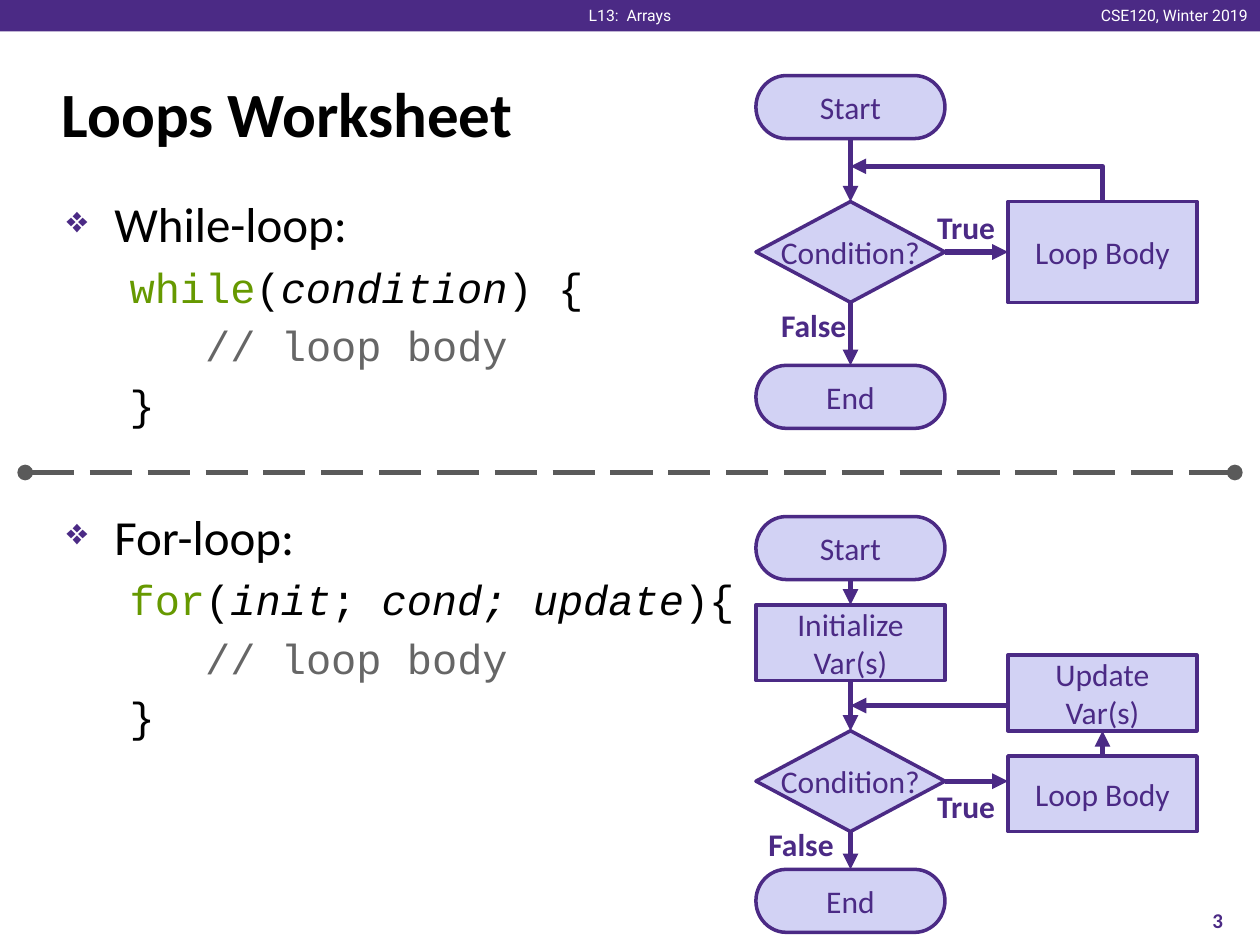
"""Build the loops worksheet slide: code on the left, flowcharts on the right."""
from dataclasses import dataclass

from lxml import etree
from pptx import Presentation
from pptx import util as u
from pptx.dml.color import RGBColor
from pptx.enum import dml, shapes, text
from pptx.oxml.ns import qn

PX = 9144
PURPLE, LILAC, BLACK, WHITE = "4B2A85", "D2D2F4", "000000", "FFFFFF"
GREEN, GREY, DARK = "669900", "666666", "5A5A5A"
BODY, CODE, HEADER = "Calibri", "Courier New", "Roboto"
LEFT, CENTER, RIGHT = text.PP_ALIGN.LEFT, text.PP_ALIGN.CENTER, text.PP_ALIGN.RIGHT
TOP, MIDDLE = text.MSO_ANCHOR.TOP, text.MSO_ANCHOR.MIDDLE
KINDS = shapes.MSO_SHAPE
TERMINAL, PROCESS, DECISION = (
    KINDS.FLOWCHART_TERMINATOR, KINDS.FLOWCHART_PROCESS, KINDS.FLOWCHART_DECISION)


@dataclass
class Run:
    words: str
    size: int
    font: str = BODY
    color: str = BLACK
    bold: bool = False
    italic: bool = False


@dataclass
class Node:
    kind: int
    words: str
    x: int
    y: int
    h: int


@dataclass
class Line:
    x1: int
    y1: int
    x2: int
    y2: int
    head: str = ""
    tail: str = ""
    color: str = PURPLE
    dashed: bool = False
    bent: bool = False


@dataclass
class Label:
    run: Run
    x: int
    y: int
    w: int
    h: int
    align: int = LEFT
    anchor: int = TOP


@dataclass
class Loop:
    name: str
    code: list[list[Run]]
    before: float


def rgb(color: str) -> RGBColor:
    """Turn a hex string into a colour."""
    return RGBColor.from_string(color)


def box(x: int, y: int, w: int, h: int) -> list[int]:
    """Scale a rectangle to EMU."""
    return [v * PX for v in (x, y, w, h)]


def add_run(p, run: Run) -> None:
    """Append a formatted run to a paragraph."""
    r = p.add_run()
    r.text = run.words
    f = r.font
    f.size, f.name, f.bold, f.italic = u.Pt(run.size), run.font, run.bold, run.italic
    f.color.rgb = rgb(run.color)


def add_box(s, kind: int, rect: list[int], fill: str):
    """Add a flat filled shape."""
    sp = s.shapes.add_shape(kind, *rect)
    sp.shadow.inherit = False
    sp.fill.solid()
    sp.fill.fore_color.rgb = rgb(fill)
    sp.line.fill.background()
    return sp


def add_node(s, node: Node) -> None:
    """Add one flowchart step."""
    sp = add_box(s, node.kind, box(node.x, node.y, 150, node.h), LILAC)
    sp.line.color.rgb = rgb(PURPLE)
    sp.line.width = u.Pt(2)
    tf = sp.text_frame
    tf.vertical_anchor = MIDDLE
    tf.word_wrap = node.kind != DECISION
    if node.kind == DECISION:
        tf.margin_left = tf.margin_right = 0
    p = tf.paragraphs[0]
    p.alignment = CENTER
    add_run(p, Run(node.words, 18, color=PURPLE))


def add_line(s, line: Line) -> None:
    """Add a connector with its line ends."""
    kind = shapes.MSO_CONNECTOR.ELBOW if line.bent else shapes.MSO_CONNECTOR.STRAIGHT
    sp = s.shapes.add_connector(kind, *box(line.x1, line.y1, line.x2, line.y2))
    sp.line.color.rgb = rgb(line.color)
    sp.line.width = u.Pt(3)
    if line.dashed:
        sp.line.dash_style = dml.MSO_LINE.LONG_DASH
    pr = sp._element.spPr
    if line.bent:
        pr.find(qn("a:prstGeom")).set("prst", "bentConnector2")
    ln = pr.find(qn("a:ln"))
    for tag, end in (("a:headEnd", line.head), ("a:tailEnd", line.tail)):
        if end:
            etree.SubElement(ln, qn(tag), type=end)
    etree.SubElement(pr, qn("a:effectLst"))


def add_label(s, label: Label) -> None:
    """Add a single-line text box."""
    tf = s.shapes.add_textbox(*box(label.x, label.y, label.w, label.h)).text_frame
    tf.word_wrap = False
    if label.anchor == TOP:
        tf.auto_size = text.MSO_AUTO_SIZE.SHAPE_TO_FIT_TEXT
    tf.vertical_anchor = label.anchor
    p = tf.paragraphs[0]
    p.alignment = label.align
    add_run(p, label.run)


def add_bullet(p) -> None:
    """Give a paragraph a hanging diamond bullet."""
    pr = p._p.get_or_add_pPr()
    pr.set("marL", str(38 * PX))
    pr.set("indent", str(-38 * PX))
    etree.SubElement(etree.SubElement(pr, qn("a:buClr")), qn("a:srgbClr"), val=PURPLE)
    etree.SubElement(pr, qn("a:buSzPct"), val="75000")
    etree.SubElement(pr, qn("a:buChar"), char="❖")


def add_loops(s, loops: list[Loop]) -> None:
    """Write each loop's name and its indented code."""
    tf = s.shapes.add_textbox(*box(43, 149, 915, 544)).text_frame
    tf.word_wrap = True
    p = tf.paragraphs[0]
    for loop in loops:
        if loop.before:
            p = tf.add_paragraph()
            p.space_before = u.Pt(loop.before)
        add_bullet(p)
        add_run(p, Run(loop.name, 28))
        for runs in loop.code:
            p = tf.add_paragraph()
            p.space_before = u.Pt(4.8)
            p._p.get_or_add_pPr().set("marL", str(50 * PX))
            for run in runs:
                add_run(p, run)


def code(words: str, color: str = BLACK, italic: bool = False) -> Run:
    """Make a run of code."""
    return Run(words, 24, CODE, color, italic=italic)


def branch(words: str, x: int, y: int, w: int) -> Label:
    """Make a bold branch label."""
    return Label(Run(words, 18, color=PURPLE, bold=True), x, y, w, 40)


def arrow(x1: int, y1: int, x2: int, y2: int) -> Line:
    """Make an arrow pointing at its second end."""
    return Line(x1, y1, x2, y2, tail="triangle")


REST = [[code("   "), code("// loop body", GREY)], [code("}")]]
LOOPS = [
    Loop("While-loop:", [[code("while", GREEN), code("("), code("condition", italic=True),
                          code(") {")], *REST], 0),
    Loop("For-loop:", [[code("for", GREEN), code("("), code("init", italic=True), code("; "),
                        code("cond; update", italic=True), code("){")], *REST], 44),
]
NODES = [
    Node(TERMINAL, "Start", 600, 60, 50),
    Node(DECISION, "Condition?", 600, 160, 80),
    Node(PROCESS, "Loop Body", 800, 160, 80),
    Node(TERMINAL, "End", 600, 290, 50),
    Node(TERMINAL, "Start", 600, 410, 50),
    Node(PROCESS, "Initialize Var(s)", 600, 480, 60),
    Node(DECISION, "Condition?", 600, 580, 80),
    Node(PROCESS, "Loop Body", 800, 600, 60),
    Node(PROCESS, "Update Var(s)", 800, 520, 60),
    Node(TERMINAL, "End", 600, 690, 50),
]
DOWN = [(110, 160), (240, 290), (460, 480), (540, 580), (660, 690)]
LINES = [arrow(675, top, 675, bottom) for top, bottom in DOWN] + [
    arrow(750, 200, 800, 200), arrow(750, 620, 800, 620),
    arrow(875, 600, 875, 580), arrow(800, 560, 675, 560),
    Line(675, 132, 875, 160, head="triangle", bent=True),
    Line(20, 375, 980, 375, "oval", "oval", DARK, dashed=True),
]
LABELS = [
    Label(Run("CSE120, Winter 2019", 9, HEADER, WHITE), 860, 0, 140, 25, RIGHT),
    Label(Run("L13:  Arrays", 9, HEADER, WHITE), 456, 0, 88, 25, CENTER),
    Label(Run("3", 12, color=PURPLE, bold=True), 933, 710, 67, 40, CENTER, MIDDLE),
    branch("False", 610, 238, 72), branch("True", 734, 160, 66),
    branch("False", 600, 650, 72), branch("True", 734, 620, 66),
]


def main() -> None:
    """Build and save the slide."""
    prs = Presentation()
    prs.slide_width, prs.slide_height = 1000 * PX, 750 * PX
    s = prs.slides.add_slide(prs.slide_layouts[5])
    add_box(s, KINDS.RECTANGLE, box(0, 0, 1000, 25), PURPLE)
    title = s.shapes.title
    title.left, title.top, title.width, title.height = box(39, 48, 919, 83)
    tf = title.text_frame
    tf.vertical_anchor = MIDDLE
    tf.paragraphs[0].alignment = LEFT
    add_run(tf.paragraphs[0], Run("Loops Worksheet", 36, bold=True))
    add_loops(s, LOOPS)
    for node in NODES:
        add_node(s, node)
    for line in LINES:
        add_line(s, line)
    for label in LABELS:
        add_label(s, label)
    prs.save("out.pptx")


if __name__ == "__main__":
    main()
